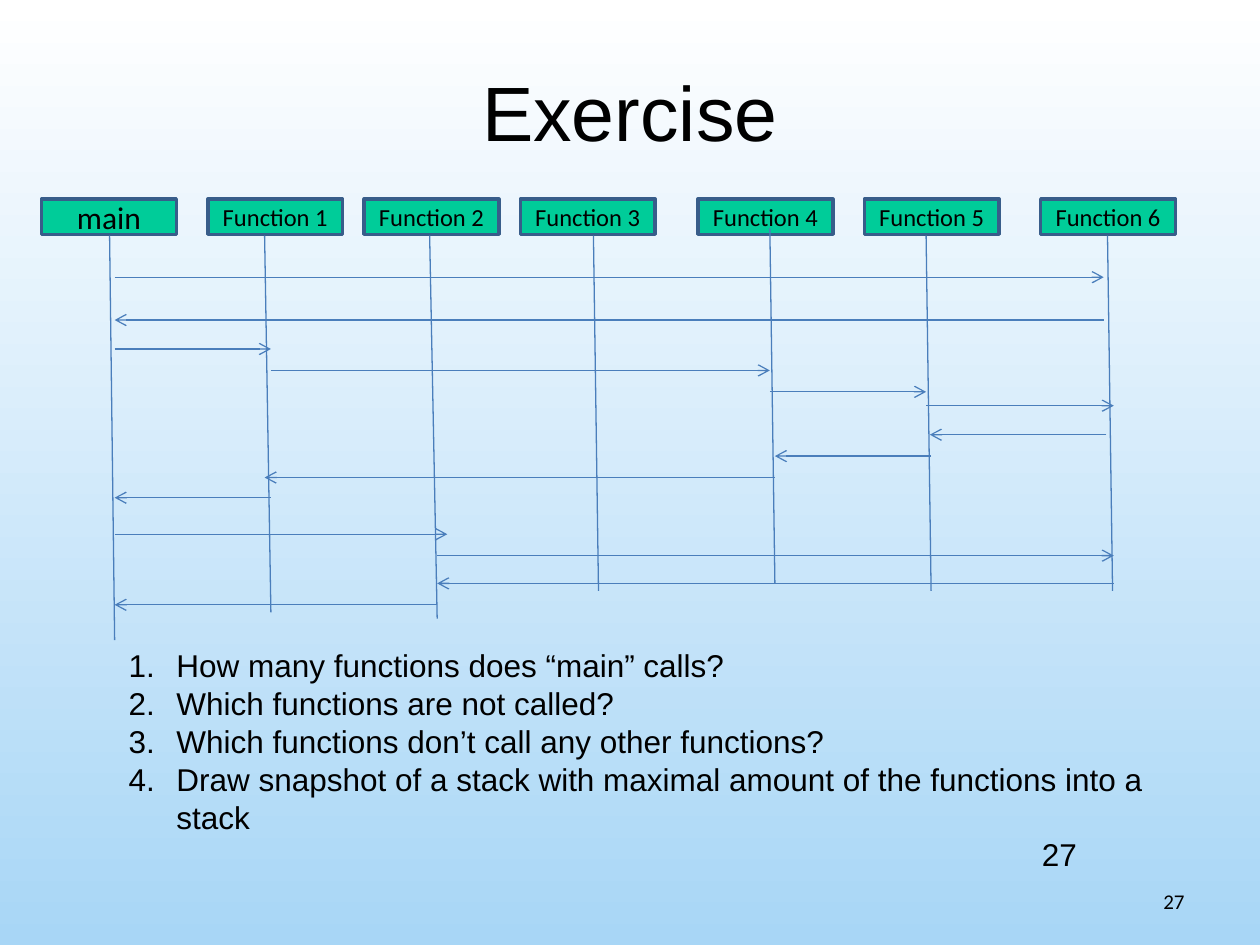
from lxml import etree
from pptx import Presentation
from pptx.dml.color import RGBColor
from pptx.enum.shapes import MSO_CONNECTOR, MSO_SHAPE
from pptx.enum.text import MSO_ANCHOR, MSO_AUTO_SIZE, PP_ALIGN
from pptx.oxml.ns import qn
from pptx.util import Inches, Pt

STRAIGHT = MSO_CONNECTOR.STRAIGHT
RECTANGLE = MSO_SHAPE.RECTANGLE
TOP, MIDDLE = MSO_ANCHOR.TOP, MSO_ANCHOR.MIDDLE
LEFT, CENTER, RIGHT = PP_ALIGN.LEFT, PP_ALIGN.CENTER, PP_ALIGN.RIGHT

COLORS = {
    "text": "000000",
    "sky_top": "FFFFFF",
    "sky_bottom": "A8D6F6",
    "box": "00CC99",
    "box_line": "385D8A",
    "line": "4A7EBB",
}

TITLE_FONT = {"name": "Arial", "size": Pt(44)}
BODY_FONT = {"name": "Arial", "size": Pt(18)}
MAIN_FONT = {"name": "Calibri", "size": Pt(18)}
FUNCTION_FONT = {"name": "Calibri", "size": Pt(14)}
NUMBER_FONT = {"name": "Calibri", "size": Pt(12)}

BOX_TOP, BOX_WIDTH, BOX_HEIGHT = 1.58, 1.07, 0.28

PARTICIPANTS = [
    ("main", 0.33, (0.87, 1.87), (0.91, 5.08)),
    ("Function 1", 1.65, (2.1, 1.87), (2.15, 4.86)),
    ("Function 2", 2.89, (3.41, 1.87), (3.47, 4.91)),
    ("Function 3", 4.13, (4.71, 1.87), (4.75, 4.69)),
    ("Function 4", 5.54, (6.11, 1.81), (6.15, 4.63)),
    ("Function 5", 6.86, (7.35, 1.87), (7.39, 4.69)),
    ("Function 6", 8.26, (8.79, 1.87), (8.83, 4.69)),
]

CALLS = [
    (0.91, 8.76, 2.2),
    (8.76, 0.91, 2.54),
    (0.91, 2.15, 2.77),
    (2.15, 6.11, 2.94),
    (6.11, 7.35, 3.11),
    (7.35, 8.84, 3.22),
    (8.78, 7.38, 3.45),
    (7.39, 6.15, 3.62),
    (6.15, 2.1, 3.79),
    (2.15, 0.91, 3.95),
    (0.91, 3.55, 4.24),
    (3.47, 8.84, 4.41),
    (8.84, 3.47, 4.63),
    (3.47, 0.91, 4.8),
]

QUESTIONS = [
    "How many functions does “main” calls?",
    "Which functions are not called?",
    "Which functions don’t call any other functions?",
    "Draw snapshot of a stack with maximal amount of the functions into a stack",
]


def rgb(name):
    return RGBColor.from_string(COLORS[name])


def place(shape, box):
    for side, length in zip(("left", "top", "width", "height"), box):
        setattr(shape, side, Inches(length))


def format_paragraph(paragraph, font_format, alignment):
    paragraph.alignment = alignment
    paragraph.space_before = Pt(0)
    for run in paragraph.runs:
        for attribute, value in font_format.items():
            setattr(run.font, attribute, value)
        run.font.color.rgb = rgb("text")


def write(shape, lines, font_format, alignment, anchor):
    frame = shape.text_frame
    frame.word_wrap = True
    frame.auto_size = MSO_AUTO_SIZE.NONE
    frame.vertical_anchor = anchor
    frame.text = "\n".join(lines)
    for paragraph in frame.paragraphs:
        format_paragraph(paragraph, font_format, alignment)


def paint_background(slide):
    fill = slide.background.fill
    fill.gradient()
    fill.gradient_angle = 270
    for stop, position, color in zip(fill.gradient_stops, (0, 1), ("sky_top", "sky_bottom")):
        stop.position = position
        stop.color.rgb = rgb(color)


def add_title(slide, box):
    title = slide.shapes.title
    place(title, box)
    write(title, ["Exercise"], TITLE_FONT, CENTER, MIDDLE)


def add_questions(slide, box):
    body = slide.placeholders[1]
    place(body, box)
    write(body, QUESTIONS, BODY_FONT, LEFT, TOP)
    for paragraph in body.text_frame.paragraphs:
        properties = paragraph._p.get_or_add_pPr()
        properties.set("marL", str(Inches(0.38)))
        properties.set("indent", str(Inches(-0.38)))
        etree.SubElement(properties, qn("a:buFont"), typeface="+mj-lt")
        etree.SubElement(properties, qn("a:buAutoNum"), type="arabicPeriod")


def add_number(slide, box, font_format, alignment, anchor):
    number = slide.shapes.add_textbox(*map(Inches, box))
    write(number, ["27"], font_format, alignment, anchor)


def add_box(group, name, box):
    shape = group.shapes.add_shape(RECTANGLE, *map(Inches, box))
    shape.shadow.inherit = False
    shape.fill.solid()
    shape.fill.fore_color.rgb = rgb("box")
    shape.line.color.rgb = rgb("box_line")
    shape.line.width = Pt(2)
    write(shape, [name], MAIN_FONT if name == "main" else FUNCTION_FONT, CENTER, MIDDLE)


def add_line(group, start, end, arrow=False):
    connector = group.shapes.add_connector(STRAIGHT, *map(Inches, start + end))
    connector.line.color.rgb = rgb("line")
    connector.line.width = Pt(0.75)
    if arrow:
        etree.SubElement(connector.line._get_or_add_ln(), qn("a:tailEnd"), type="arrow")
    etree.SubElement(connector._element.spPr, qn("a:effectLst"))


def add_sequence_diagram(slide):
    group = slide.shapes.add_group_shape()
    for name, left, _, _ in PARTICIPANTS:
        add_box(group, name, (left, BOX_TOP, BOX_WIDTH, BOX_HEIGHT))
    for _, _, start, end in PARTICIPANTS:
        add_line(group, start, end)
    for start, end, height in CALLS:
        add_line(group, (start, height), (end, height), arrow=True)


def main():
    presentation = Presentation()
    presentation.slide_width = Inches(10)
    presentation.slide_height = Inches(7.5)
    slide = presentation.slides.add_slide(presentation.slide_layouts[1])
    paint_background(slide)
    add_title(slide, (0.5, 0.25, 9, 1.25))
    add_number(slide, (7.17, 6.95, 2.33, 0.4), NUMBER_FONT, RIGHT, MIDDLE)
    add_sequence_diagram(slide)
    add_questions(slide, (0.92, 5.08, 8.5, 1.6))
    add_number(slide, (8.17, 6.58, 2.33, 0.51), BODY_FONT, LEFT, TOP)
    presentation.save("out.pptx")


if __name__ == "__main__":
    main()
